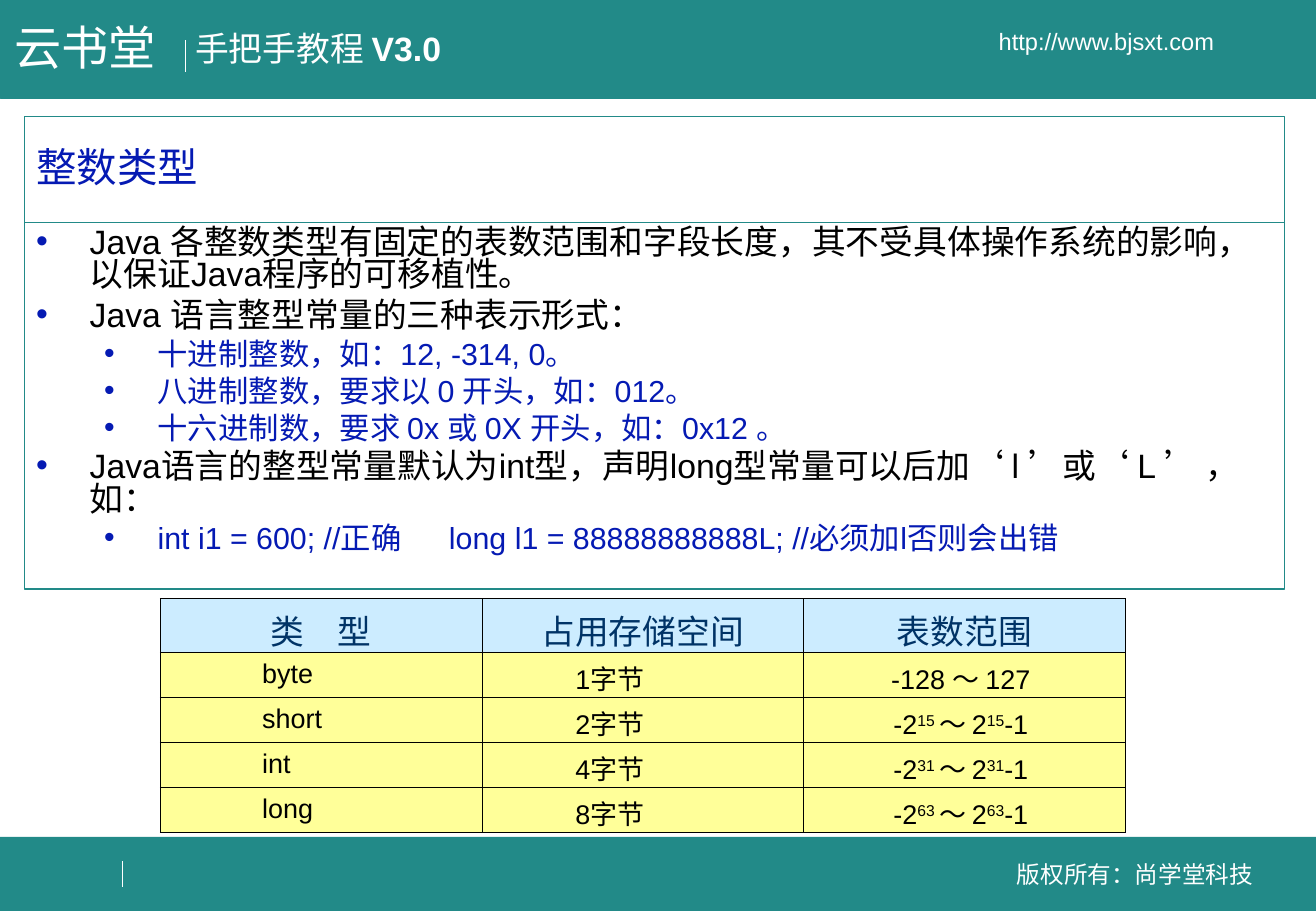
from lxml.etree import SubElement
from pptx import Presentation
from pptx.dml.color import RGBColor
from pptx.enum.shapes import MSO_CONNECTOR, MSO_SHAPE
from pptx.enum.text import MSO_ANCHOR, PP_ALIGN
from pptx.oxml.ns import qn
from pptx.util import Inches, Pt

TEAL = RGBColor(0x22, 0x8A, 0x88)
WHITE = RGBColor(0xFF, 0xFF, 0xFF)
BLACK = RGBColor(0x00, 0x00, 0x00)
BLUE = RGBColor(0x05, 0x1A, 0xB3)
NAVY = RGBColor(0x00, 0x33, 0x66)
SKY = RGBColor(0xCC, 0xEC, 0xFF)
YELLOW = RGBColor(0xFF, 0xFF, 0x99)
LATIN, CJK = "Arial", "Noto Sans CJK SC"
SLIDE_WIDTH = 10.84

POINTS = [
    (0, "Java 各整数类型有固定的表数范围和字段长度，其不受具体操作系统的影响，以保证Java程序的可移植性。"),
    (0, "Java 语言整型常量的三种表示形式："),
    (1, "十进制整数，如：12, -314, 0。"),
    (1, "八进制整数，要求以 0 开头，如：012。"),
    (1, "十六进制数，要求 0x 或 0X 开头，如：0x12 。"),
    (0, "Java语言的整型常量默认为int型，声明long型常量可以后加‘ l ’或‘ L ’ ，如："),
    (1, "int i1 = 600; //正确\tlong l1 = 88888888888L; //必须加l否则会出错"),
]
HEADINGS = ["类　型", "占用存储空间", "表数范围"]
INTEGER_TYPES = [("byte", "1", None), ("short", "2", "15"), ("int", "4", "31"), ("long", "8", "63")]


def add_run(paragraph, text, size, color, font=LATIN, bold=False, raised=False):
    """Append one formatted run."""
    run = paragraph.add_run()
    run.text = text
    run.font.name, run.font.size, run.font.bold = font, Pt(size), bold
    run.font.color.rgb = color
    if raised:
        run._r.get_or_add_rPr().set("baseline", "30000")


def add_panel(slide, left, top, width, height, line_width, fill=None):
    """Draw a teal-edged rectangle and return it."""
    panel = slide.shapes.add_shape(
        MSO_SHAPE.RECTANGLE, Inches(left), Inches(top), Inches(width), Inches(height))
    panel.shadow.inherit = False
    panel.line.color.rgb = TEAL
    panel.line.width = Pt(line_width)
    if fill is None:
        panel.fill.background()
    else:
        panel.fill.solid()
        panel.fill.fore_color.rgb = fill
    return panel


def add_label(slide, left, top, width, height, runs, centred=False, after=0):
    """Write white text made of (text, size, bold) runs."""
    label = slide.shapes.add_textbox(Inches(left), Inches(top), Inches(width), Inches(height))
    frame = label.text_frame
    frame.word_wrap = True
    frame.vertical_anchor = MSO_ANCHOR.MIDDLE if centred else MSO_ANCHOR.TOP
    paragraph = frame.paragraphs[0]
    paragraph.alignment = PP_ALIGN.CENTER if centred else PP_ALIGN.LEFT
    paragraph.space_after = Pt(after)
    for text, size, bold in runs:
        add_run(paragraph, text, size, WHITE, bold=bold)


def add_divider(slide, x, top, bottom):
    """Draw a thin white vertical rule."""
    divider = slide.shapes.add_connector(
        MSO_CONNECTOR.STRAIGHT, Inches(x), Inches(top), Inches(x), Inches(bottom))
    divider.line.color.rgb = WHITE
    divider.line.width = Pt(0.75)
    SubElement(divider._element.spPr, qn("a:effectLst"))


def add_header(slide, left, top, width, height):
    """Build the top band with school name, course and address."""
    add_panel(slide, left, top, width, height, 0.25, TEAL)
    add_divider(slide, left + 1.53, top + 0.33, top + 0.59)
    add_label(slide, left + 0.02, top + 0.1, 1.5, 0.57, [("云书堂", 28, False)], after=7)
    add_label(slide, left + 1.51, top + 0.18, 2.6, 0.44,
              [("手把手教程 ", 20, False), ("V3.0", 20, True)], after=5)
    add_label(slide, left + 7.4, top + 0.17, 3.43, 0.34,
              [("http://www.bjsxt.com", 14, False)], centred=True)


def add_footer(slide, left, top, width, height):
    """Build the bottom band with the copyright line."""
    add_panel(slide, left, top, width, height, 0.25, TEAL)
    add_divider(slide, left + 1.01, top + 0.2, top + 0.41)
    add_label(slide, left + 8.09, top + 0.14, 2.52, 0.34,
              [("版权所有：尚学堂科技", 14, False)], centred=True)


def add_title(slide, left, top, width, height):
    """Build the framed slide title."""
    frame = add_panel(slide, left, top, width, height, 0.75).text_frame
    frame.word_wrap = True
    frame.vertical_anchor = MSO_ANCHOR.MIDDLE
    heading = frame.paragraphs[0]
    heading.alignment = PP_ALIGN.LEFT
    heading.line_spacing = 0.9
    add_run(heading, "整数类型", 24, BLUE)


def add_bullet(paragraph, level, tab_stop):
    """Give a paragraph its blue bullet, hanging indent and tab stop."""
    properties = paragraph._p.get_or_add_pPr()
    properties.set("marL", str(Inches(1 if level else 0.44)))
    properties.set("indent", str(Inches(-0.44)))
    bullet_color = SubElement(properties, qn("a:buClr"))
    SubElement(bullet_color, qn("a:srgbClr"), val=str(BLUE))
    SubElement(properties, qn("a:buFont"), typeface=LATIN)
    SubElement(properties, qn("a:buChar"), char="•")
    tabs = SubElement(properties, qn("a:tabLst"))
    SubElement(tabs, qn("a:tab"), pos=str(Inches(tab_stop)), algn="l")


def add_points(slide, left, top, width, height):
    """Build the framed two-level bullet list."""
    frame = add_panel(slide, left, top, width, height, 0.75).text_frame
    frame.word_wrap = True
    frame.vertical_anchor = MSO_ANCHOR.TOP
    for index, (level, text) in enumerate(POINTS):
        point = frame.add_paragraph() if index else frame.paragraphs[0]
        add_bullet(point, level, 3.4)
        point.level = level
        point.alignment = PP_ALIGN.LEFT
        point.line_spacing = 0.8
        point.space_after = Pt(4.5 if level else 5)
        add_run(point, text, 18 if level else 20, BLUE if level else BLACK)


def style_cell(cell, fill, after, indent=None):
    """Set a cell's fill, borders and alignment; return its paragraph."""
    cell.fill.solid()
    cell.fill.fore_color.rgb = fill
    cell.vertical_anchor = MSO_ANCHOR.MIDDLE
    properties = cell._tc.get_or_add_tcPr()
    for position, side in enumerate(("lnL", "lnR", "lnT", "lnB")):
        border = SubElement(properties, qn(f"a:{side}"), w=str(Pt(0.45)))
        ink = SubElement(border, qn("a:solidFill"))
        SubElement(ink, qn("a:srgbClr"), val=str(BLACK))
        properties.insert(position, border)
    paragraph = cell.text_frame.paragraphs[0]
    paragraph.space_after = Pt(after)
    paragraph.alignment = PP_ALIGN.LEFT if indent else PP_ALIGN.CENTER
    if indent:
        cell.margin_left = Inches(indent)
    return paragraph


def add_type_table(slide, left, top, width, height):
    """Build the table of integer types, sizes and ranges."""
    table = slide.shapes.add_table(
        len(INTEGER_TYPES) + 1, len(HEADINGS),
        Inches(left), Inches(top), Inches(width), Inches(height)).table
    row_height = 0.37
    for row in table.rows:
        row.height = Inches(row_height)
    table.rows[0].height = Inches(height - row_height * len(INTEGER_TYPES))
    for column, heading in enumerate(HEADINGS):
        add_run(style_cell(table.cell(0, column), SKY, 5), heading, 20, NAVY)
    for row, (name, size, power) in enumerate(INTEGER_TYPES, 1):
        add_run(style_cell(table.cell(row, 0), YELLOW, 4, 0.84), name, 16, BLACK)
        storage = style_cell(table.cell(row, 1), YELLOW, 4, 0.77)
        add_run(storage, size, 16, BLACK)
        add_run(storage, "字节", 16, BLACK, CJK)
        limits = style_cell(table.cell(row, 2), YELLOW, 4)
        if power:
            parts = [("-2", False), (power + " ", True), ("～ 2", False), (power, True), ("-1 ", False)]
        else:
            parts = [("-128 ～ 127 ", False)]
        for text, raised in parts:
            add_run(limits, text, 16, BLACK, raised=raised)


def main():
    """Assemble and save the slide."""
    deck = Presentation()
    deck.slide_width, deck.slide_height = Inches(SLIDE_WIDTH), Inches(7.5)
    slide = deck.slides.add_slide(deck.slide_layouts[6])
    add_footer(slide, 0, 6.89, SLIDE_WIDTH, 0.61)
    add_header(slide, 0, 0, SLIDE_WIDTH, 0.81)
    add_type_table(slide, 1.32, 4.93, 7.95, 1.92)
    add_title(slide, 0.2, 0.96, 10.38, 0.87)
    add_points(slide, 0.2, 1.83, 10.38, 3.02)
    deck.save("out.pptx")


if __name__ == "__main__":
    main()
